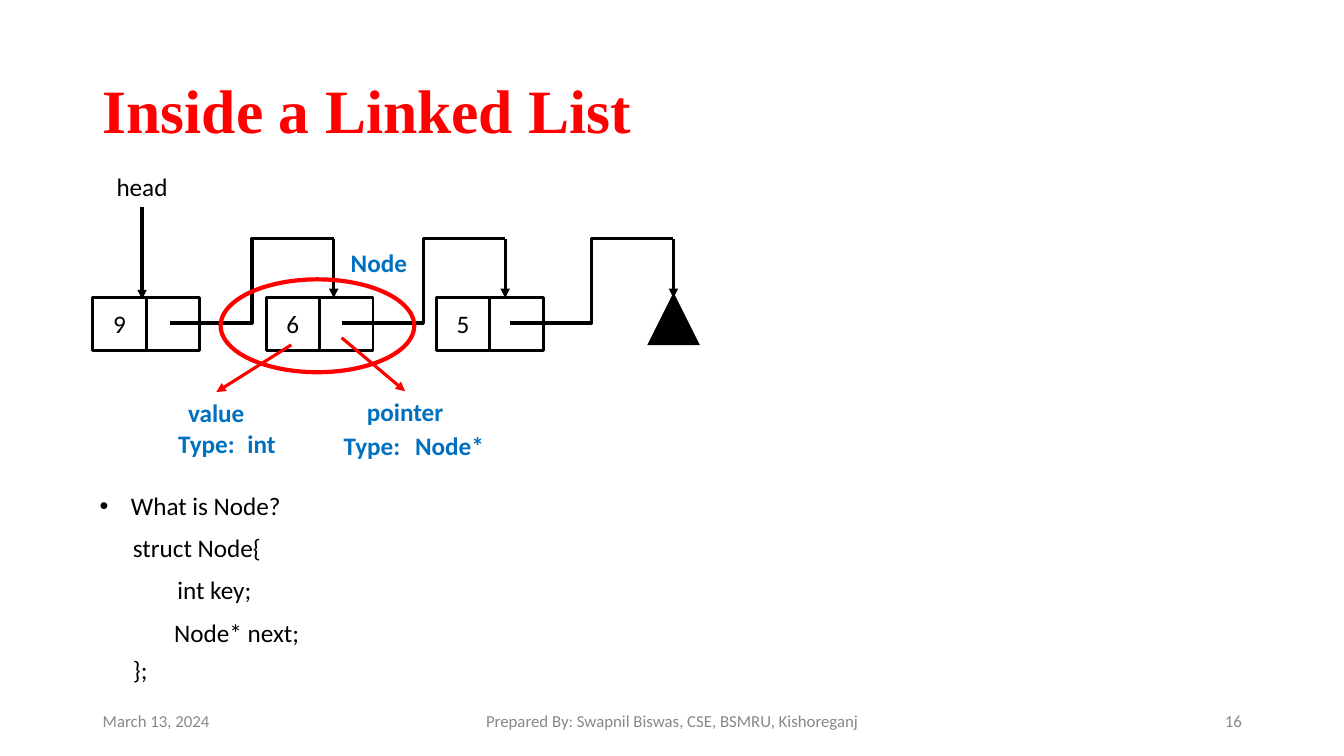
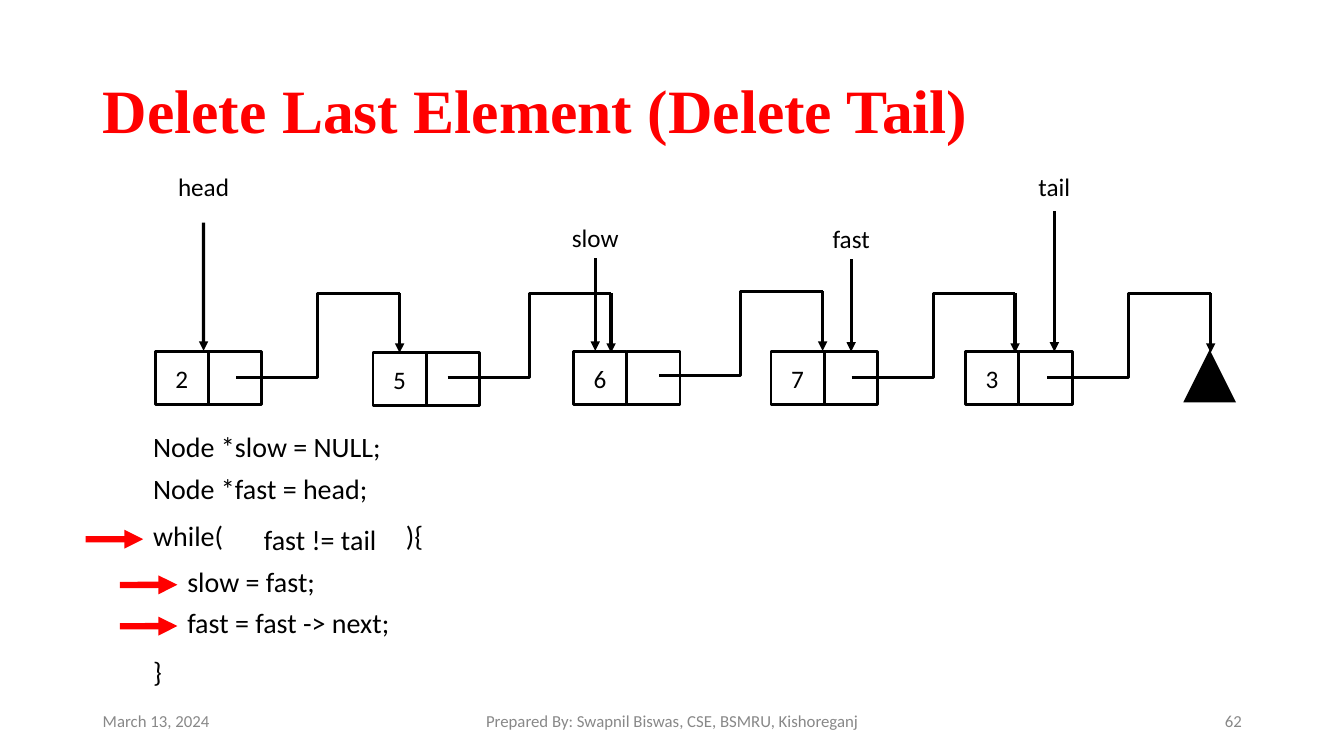
from lxml import etree
from pptx import Presentation
from pptx.dml.color import RGBColor
from pptx.enum.shapes import MSO_CONNECTOR, MSO_SHAPE
from pptx.enum.text import MSO_ANCHOR, PP_ALIGN
from pptx.oxml.ns import qn
from pptx.util import Cm, Pt

STRAIGHT, ELBOW = MSO_CONNECTOR.STRAIGHT, MSO_CONNECTOR.ELBOW
RECTANGLE, OVAL, TRIANGLE = MSO_SHAPE.RECTANGLE, MSO_SHAPE.OVAL, MSO_SHAPE.ISOSCELES_TRIANGLE
LEFT, CENTER, RIGHT = PP_ALIGN.LEFT, PP_ALIGN.CENTER, PP_ALIGN.RIGHT
TOP, MIDDLE = MSO_ANCHOR.TOP, MSO_ANCHOR.MIDDLE

COLORS = {name: RGBColor.from_string(value) for name, value in {
    "black": "000000", "red": "FF0000", "blue": "0070C0", "gray": "888888"}.items()}

# Linked-list geometry in centimetres
CELL_SIDE, CELL_PITCH = 1.34, 1.35
LINK_RUN, LINK_RISE, LINK_DROP = 4.12, 2.13, 1.5
POINTER_WIDTH = 1.8

BLUE_LABEL = {"color": "blue", "bold": True}
BLUE_CENTERED = {**BLUE_LABEL, "align": CENTER}
CODE = {"size": 20, "height": 1.27}

# nodes: value, left, top
# links: start x, start y, joined cell (value, 0 left or 1 right)
# pointers: label, centre, top, height, tip, joined cell
# labels: text, left, top, width, format
# red_arrows: start x, start y, label pointed at, connection site
SLIDES = [
    {
        "title": "Inside a Linked List",
        "number": "16",
        "nodes": [("9", 2.34, 7.49), ("6", 6.71, 7.49), ("5", 11, 7.49)],
        "links": [(4.29, 8.14, None), (8.61, 8.14, None), (12.85, 8.14, None)],
        "null": (16.31, 7.37),
        "pointers": [("head", 3.58, 4.19, 1.02, 7.54, None)],
        "ring": (5.56, 7.04, 4.88, 2.34),
        "labels": [
            ("Node", 8.59, 6.1, 2, BLUE_LABEL),
            ("value", 4.45, 9.88, 2, BLUE_CENTERED),
            ("Type:", 4.24, 10.67, 2, BLUE_LABEL),
            ("int", 5.94, 10.67, 1.3, BLUE_CENTERED),
            ("pointer", 8.94, 9.86, 2.54, BLUE_CENTERED),
            ("Type:", 8.41, 10.72, 2, BLUE_LABEL),
            ("Node*", 10.16, 10.72, 2.34, BLUE_CENTERED),
            ("What is Node?", 2.26, 12.24, 5.4, {"bullet": True}),
            ("struct Node{", 3.1, 13.28, 4.1, {}),
            ("int key;", 4.22, 14.35, 2.5, {}),
            ("Node* next;", 4.14, 15.44, 3.8, {}),
            ("};", 3.1, 16.36, 1.2, {}),
        ],
        "red_arrows": [(7.34, 8.69, "value", 0), (8.61, 8.51, "pointer", 0)],
        "red_width": 2.25,
    },
    {
        "title": "Delete Last Element (Delete Tail)",
        "number": "62",
        "nodes": [("2", 3.91, 8.86), ("5", 9.4, 8.89), ("6", 14.45, 8.86),
                  ("7", 19.43, 8.86), ("3", 24.33, 8.86)],
        "links": [(5.95, 9.52, ("5", 0)), (11.28, 9.52, None), (16.61, 9.47, None),
                  (21.46, 9.52, None), (26.39, 9.52, None)],
        "null": (29.82, 8.81),
        "pointers": [
            ("head", 5.13, 4.19, 1.42, 8.84, None),
            ("tail", 26.57, 4.19, 1.14, 8.86, None),
            ("slow", 15, 5.49, 1.02, 8.84, None),
            ("fast", 21.45, 5.51, 1.02, 8.86, ("7", 1)),
        ],
        "ring": None,
        "labels": [
            ("Node *slow = NULL;", 3.61, 10.69, 7.2, CODE),
            ("Node *fast = head;", 3.61, 11.76, 6.2, CODE),
            ("while(", 3.61, 12.95, 2.4, CODE),
            ("fast != tail", 6.4, 13.03, 3.5, CODE),
            ("){", 9.98, 12.95, 1.2, CODE),
            ("slow = fast;", 4.47, 14.1, 4, CODE),
            ("fast = fast -> next;", 4.47, 15.14, 6, CODE),
            ("}", 3.61, 16.36, 1.2, CODE),
        ],
        "red_arrows": [(2.16, 13.59, "while(", 1), (3.02, 14.74, "slow = fast;", 1),
                       (3.02, 15.78, "fast = fast -> next;", 1)],
        "red_width": 4.5,
    },
]


def add_text(slide, text, left, top, width, height=1.02, *, shape=None, size=18,
             font="Calibri", color="black", bold=False, align=LEFT, anchor=TOP,
             wrap=False, bullet=False, line_spacing=None):
    """Write one paragraph into the given shape, or into a new text box."""
    box = shape or slide.shapes.add_textbox(Cm(left), Cm(top), Cm(width), Cm(height))
    frame = box.text_frame
    frame.word_wrap = wrap
    frame.vertical_anchor = anchor
    paragraph = frame.paragraphs[0]
    if bullet:
        properties = paragraph._p.get_or_add_pPr()
        properties.set("marL", str(Cm(0.79)))
        properties.set("indent", str(-Cm(0.79)))
        etree.SubElement(properties, qn("a:buFont"), typeface="Arial")
        etree.SubElement(properties, qn("a:buChar"), char="•")
    paragraph.alignment = align
    if line_spacing:
        paragraph.line_spacing = line_spacing
    run = paragraph.add_run()
    run.text = text
    run.font.name = font
    run.font.size = Pt(size)
    run.font.bold = bold
    run.font.color.rgb = COLORS[color]
    return box


def add_line(slide, start, end, kind=STRAIGHT, color="black", width=2.25, arrow=True):
    points = [Cm(value) for value in (*start, *end)]
    connector = slide.shapes.add_connector(kind, *points)
    connector.line.color.rgb = COLORS[color]
    connector.line.width = Pt(width)
    if arrow:
        etree.SubElement(connector.line._get_or_add_ln(), qn("a:tailEnd"), type="triangle")
    etree.SubElement(connector._element.spPr, qn("a:effectLst"))
    return connector


presentation = Presentation()
presentation.slide_width, presentation.slide_height = Cm(33.87), Cm(19.05)
blank_layout = presentation.slide_layouts[6]

for content in SLIDES:
    slide = presentation.slides.add_slide(blank_layout)
    add_text(slide, content["title"], 2.34, 1.02, 29.21, 3.68, size=44,
             font="Times New Roman", color="red", bold=True, anchor=MIDDLE,
             wrap=True, line_spacing=0.9)
    for text, left, width, align in (
            ("March 13, 2024", 2.34, 7.62, LEFT),
            ("Prepared By: Swapnil Biswas, CSE, BSMRU, Kishoreganj", 11.23, 11.43, CENTER),
            (content["number"], 23.93, 7.62, RIGHT)):
        add_text(slide, text, left, 17.65, width, size=12, color="gray",
                 align=align, anchor=MIDDLE, wrap=True)

    cells = {}
    for value, left, top in content["nodes"]:
        for part in (0, 1):
            cell = slide.shapes.add_shape(RECTANGLE, Cm(left + part * CELL_PITCH), Cm(top),
                                          Cm(CELL_SIDE), Cm(CELL_SIDE))
            cell.shadow.inherit = False
            cell.fill.background()
            cell.line.color.rgb = COLORS["black"]
            cell.line.width = Pt(2)
            cells[value, part] = cell
        add_text(slide, value, left, top, CELL_SIDE, shape=cells[value, 0],
                 align=CENTER, anchor=MIDDLE)

    for x, y, target in content["links"]:
        corner = (x + LINK_RUN, y - LINK_RISE)
        add_line(slide, (x, y), corner, kind=ELBOW, arrow=False)
        drop = add_line(slide, corner, (corner[0], corner[1] + LINK_DROP))
        if target:
            drop.end_connect(cells[target], 0)

    left, top = content["null"]
    null_mark = slide.shapes.add_shape(TRIANGLE, Cm(left), Cm(top), Cm(1.33), Cm(1.33))
    null_mark.shadow.inherit = False
    null_mark.fill.solid()
    null_mark.fill.fore_color.rgb = COLORS["black"]
    null_mark.line.fill.background()

    for label, center, top, height, tip, target in content["pointers"]:
        box = add_text(slide, label, center - POINTER_WIDTH / 2, top, POINTER_WIDTH, height,
                       align=CENTER)
        pointer = add_line(slide, (center, top + height), (center, tip))
        pointer.begin_connect(box, 2)
        if target:
            pointer.end_connect(cells[target], 0)

    if content["ring"]:
        ring = slide.shapes.add_shape(OVAL, *[Cm(value) for value in content["ring"]])
        ring.shadow.inherit = False
        ring.fill.background()
        ring.line.color.rgb = COLORS["red"]
        ring.line.width = Pt(3)

    labels = {}
    for text, left, top, width, text_format in content["labels"]:
        labels[text] = add_text(slide, text, left, top, width, **text_format)

    for x, y, label, site in content["red_arrows"]:
        arrow = add_line(slide, (x, y), (x, y), color="red", width=content["red_width"])
        arrow.end_connect(labels[label], site)

presentation.save("out.pptx")
